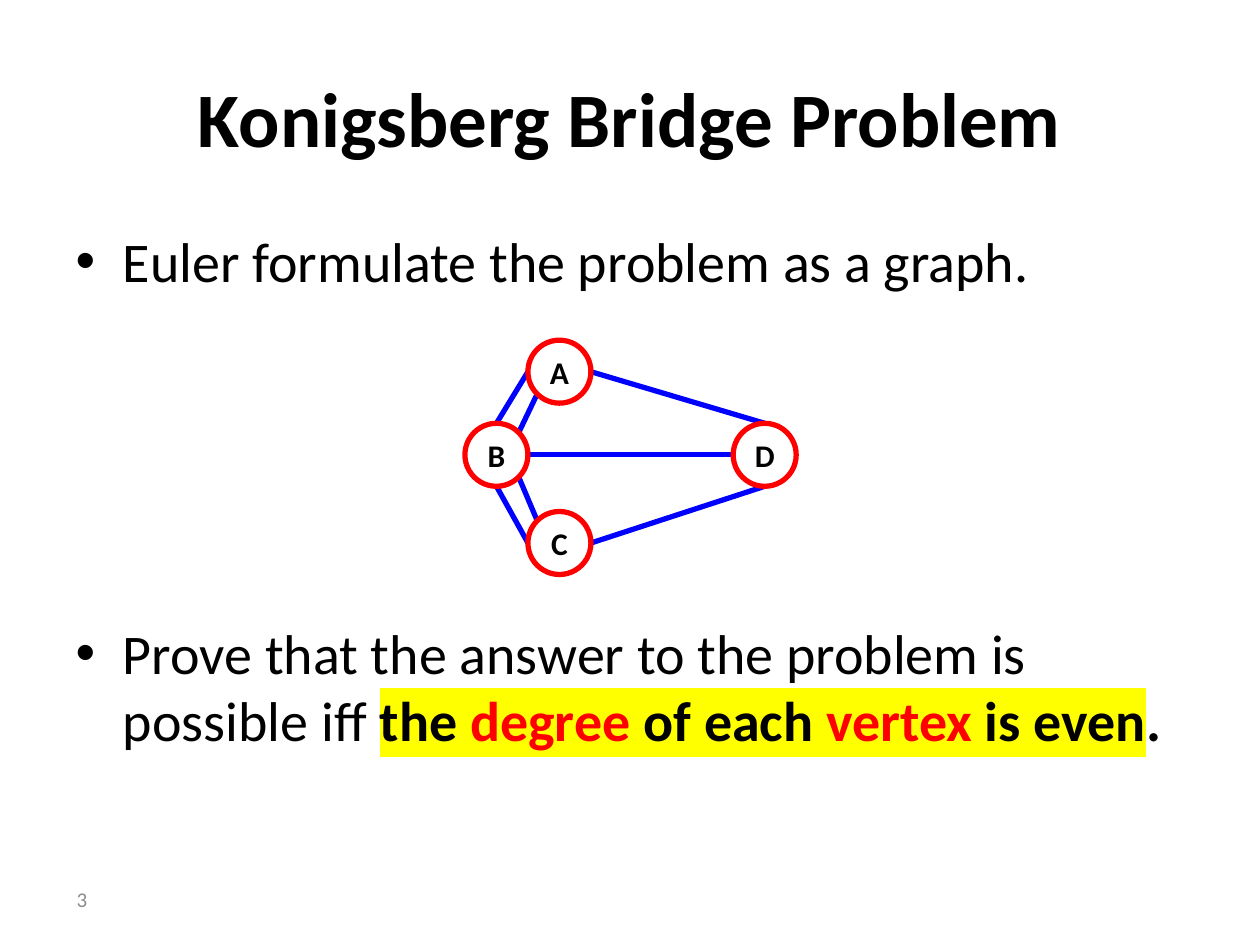
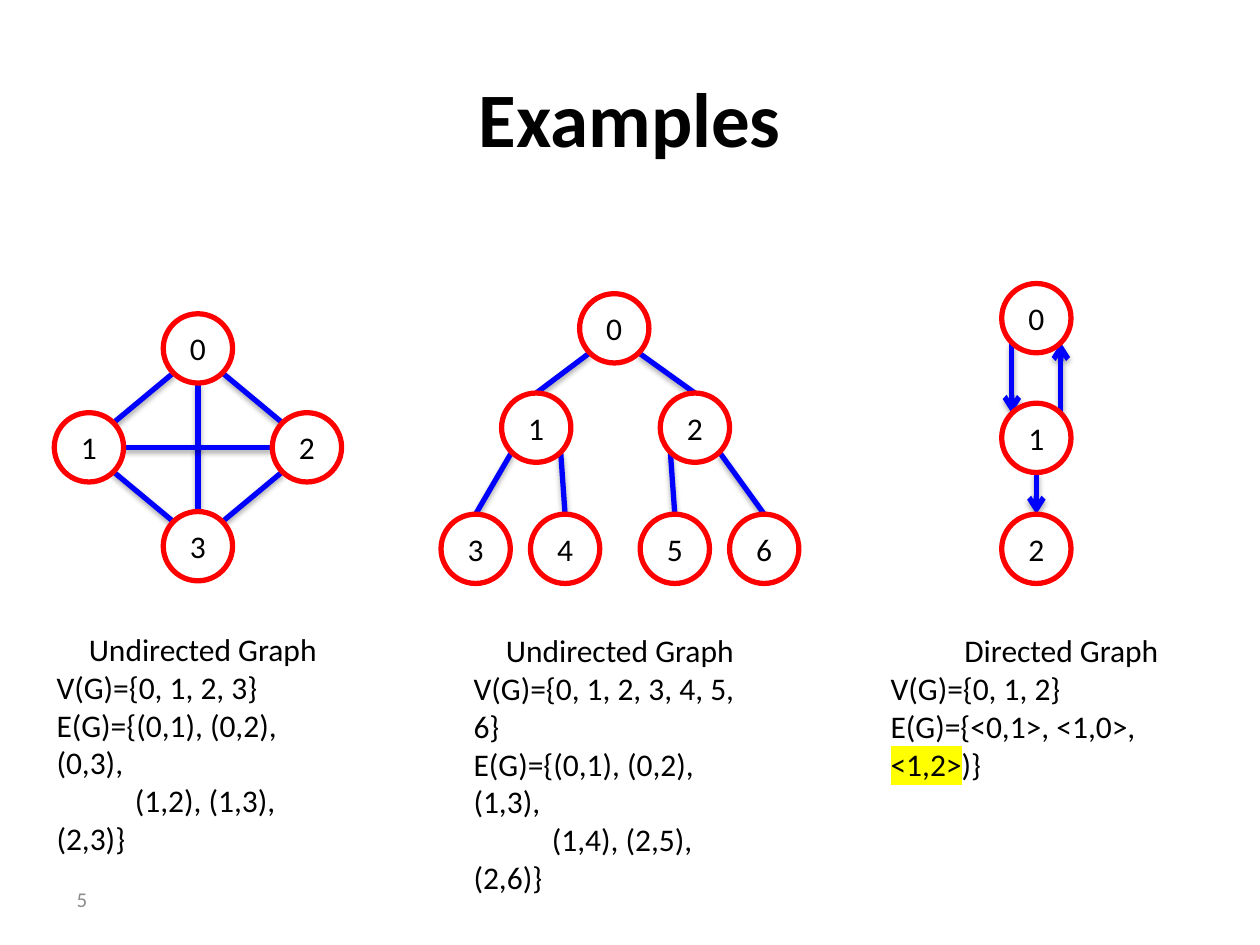
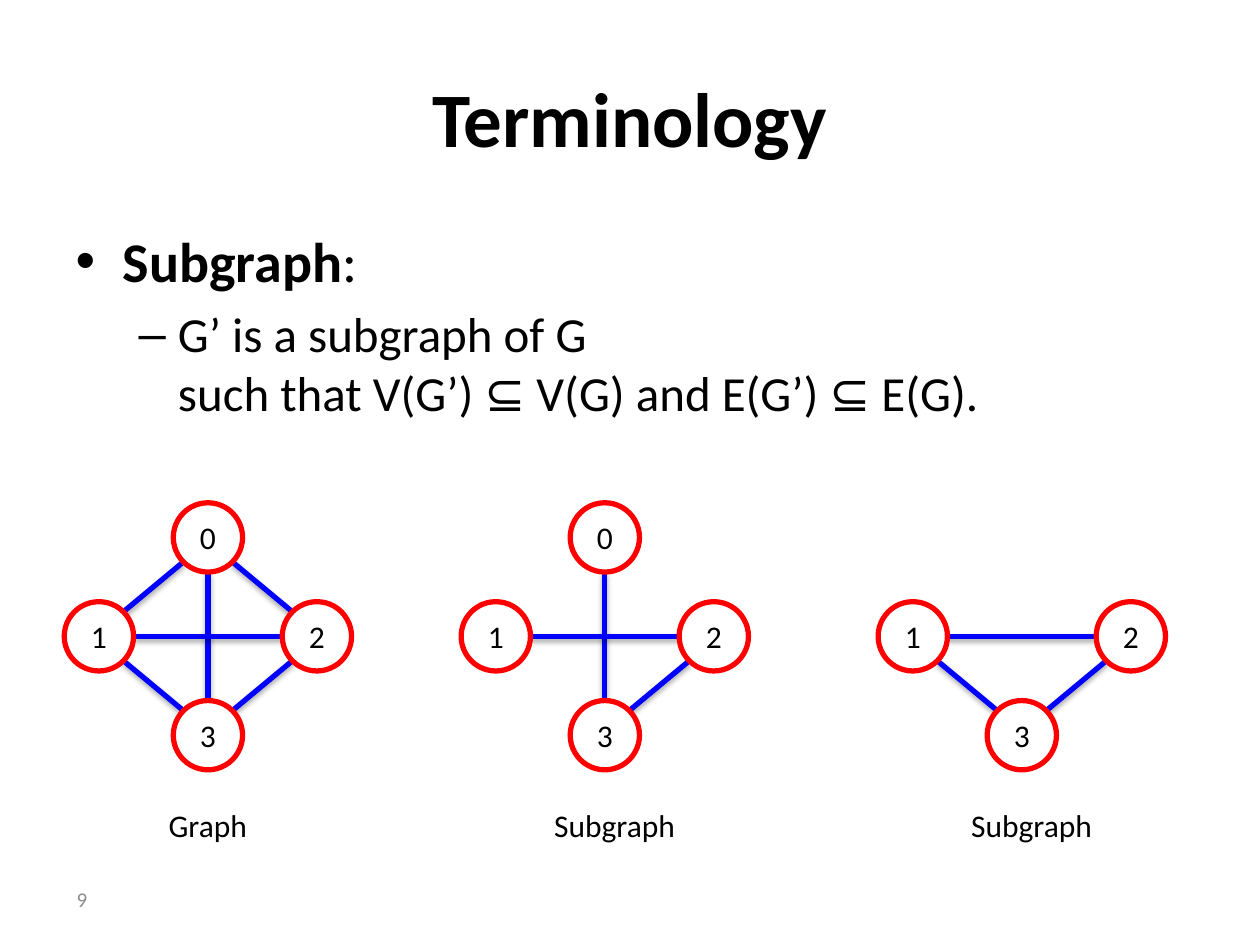
from math import sqrt

from lxml import etree
from pptx import Presentation
from pptx import util as u
from pptx.dml.color import RGBColor
from pptx.enum import shapes, text
from pptx.oxml.ns import qn

# ---- Shared look ----
FONT = "Calibri"
BLACK, WHITE, GREY = "000000", "FFFFFF", "8C8C8C"
RED, BLUE, YELLOW = "FF0000", "0000FF", "FFFF00"
LINE_WIDTH = 3
LABEL_SIZE = 18
RADIUS = 19.8
TITLE_AND_BODY, TITLE_ONLY = 1, 5
LEFT, CENTER, RIGHT = text.PP_ALIGN.LEFT, text.PP_ALIGN.CENTER, text.PP_ALIGN.RIGHT
PAGE_NUMBER_BOX = (0, 499.7, 56.9, 28.8)

# Compass points on a circle, in units of its radius
D = sqrt(0.5)
COMPASS = {"n": (0, -1), "ne": (D, -D), "e": (1, 0), "se": (D, D),
           "s": (0, 1), "sw": (-D, D), "w": (-1, 0), "nw": (-D, -D)}

# ---- Content: nodes are centres, edges are "node.side node.side" ----
BRIDGES = dict(
    nodes={"A": (319.7, 212.4), "B": (283.7, 259.9),
           "C": (319.7, 310.3), "D": (437, 259.9)},
    edges=["A.sw B.ne", "A.e D.n", "A.w B.n", "C.nw B.se",
           "C.w B.s", "C.e D.s", "B.e D.w"],
    radius=18, bold=True, shadow=False)

TREE = dict(
    nodes={"0": (351, 187.6), "1": (306.4, 244.4), "2": (397.1, 244.4),
           "3": (271.8, 313.6), "4": (322.9, 313.6),
           "5": (385.6, 313.6), "6": (436.7, 313.6)},
    edges=["0.sw 1.n", "1.sw 3.n", "0.se 2.n", "2.se 6.n", "1.se 4.n", "2.sw 5.n"])

DIRECTED = dict(
    nodes={"0": (592.2, 181.8), "1": (592.2, 250.2), "2": (592.2, 313.6)},
    edges=["0.sw 1.nw", "1.s 2.n", "1.ne 0.se"], directed=True)

DIAMOND_STEP = (62.3, 56.5)
DIAMOND_GRID = {"0": (1, 0), "1": (0, 1), "2": (2, 1), "3": (1, 2)}
DIAMOND_EDGES = ["0.sw 1.ne", "3.nw 1.se", "0.se 2.nw", "2.sw 3.ne", "0.s 3.n", "2.w 1.e"]


def diamond(left, top, names="0123", edges=DIAMOND_EDGES):
    dx, dy = DIAMOND_STEP
    return dict(nodes={name: (left + column * dx, top + row * dy)
                       for name, (column, row) in DIAMOND_GRID.items() if name in names},
                edges=edges)


MARKED = dict(bold=True, mark=YELLOW)
MARKED_RED = dict(MARKED, color=RED)

# Body items: level, space before (None keeps the template's), runs
# Captions: box, alignment, wrap, lines of (first-line indent, runs)
SLIDES = [
    dict(title="Konigsberg Bridge Problem", page="3",
         body=[(0, None, ["Euler formulate the problem as a graph."]),
               (0, 185.5, ["Prove that the answer to the problem is possible iff ",
                           ("the ", MARKED), ("degree", MARKED_RED),
                           (" of each ", MARKED), ("vertex", MARKED_RED),
                           (" is even", MARKED), (".", dict(bold=True))])],
         graphs=[BRIDGES], captions=[]),
    dict(title="Examples", page="5", body=[],
         graphs=[diamond(50.8, 199.1), TREE, DIRECTED],
         captions=[
             ((25.2, 356.4, 181.4, 94.3), CENTER, True,
              [(0, ["Undirected Graph"]), (0, ["V(G)={0, 1, 2, 3}"]),
               (0, ["E(G)={(0,1), (0,2), (0,3),"]), (44.8, ["(1,2), (1,3), (2,3)}"])]),
             ((263.5, 357.1, 181.4, 94.3), CENTER, True,
              [(0, ["Undirected Graph"]), (0, ["V(G)={0, 1, 2, 3, 4, 5, 6}"]),
               (0, ["E(G)={(0,1), (0,2), (1,3),"]), (44.8, ["(1,4), (2,5), (2,6)}"])]),
             ((501.8, 357.1, 209.5, 72.7), CENTER, True,
              [(0, ["Directed Graph"]), (0, ["V(G)={0, 1, 2}"]),
               (0, ["E(G)={<0,1>, <1,0>,"]),
               (0, [("<1,2>", dict(mark=YELLOW)), ")}"])])]),
    dict(title="Terminology", page="9",
         body=[(0, None, [("Subgraph", dict(bold=True)), ":"]),
               (1, None, ["G’ is a subgraph of G", "\n",
                          "such that V(G’) ⊆ V(G) and E(G’) ⊆ E(G)."])],
         graphs=[diamond(56.5, 307.1),
                 diamond(283.3, 307.1, edges=["2.sw 3.ne", "0.s 3.n", "2.w 1.e"]),
                 diamond(521.6, 307.1, "123", ["3.nw 1.se", "2.sw 3.ne", "2.w 1.e"])],
         captions=[((89.3, 457.2, 59.8, 29), LEFT, False, [(0, ["Graph"])]),
                   ((309.6, 457.2, 84.2, 29), LEFT, False, [(0, ["Subgraph"])]),
                   ((547.9, 457.2, 84.2, 29), LEFT, False, [(0, ["Subgraph"])])]),
]


# ---- Helpers ----
def rgb(value):
    return RGBColor.from_string(value)


def pts(*values):
    return [u.Pt(value) for value in values]


def style(paragraph, size, color=BLACK, bold=None):
    font = paragraph.font
    font.name, font.size, font.bold = FONT, u.Pt(size), bold
    font.color.rgb = rgb(color)


def add_runs(paragraph, runs):
    for item in runs:
        if item == "\n":
            paragraph.add_line_break()
            continue
        words, look = (item, {}) if isinstance(item, str) else item
        run = paragraph.add_run()
        run.text = words
        if "bold" in look:
            run.font.bold = look["bold"]
        if "color" in look:
            run.font.color.rgb = rgb(look["color"])
        if "mark" in look:
            highlight = etree.SubElement(run.font._element, qn("a:highlight"))
            etree.SubElement(highlight, qn("a:srgbClr"), val=look["mark"])


def paragraphs(frame, count):
    return [frame.paragraphs[0]] + [frame.add_paragraph() for _ in range(count - 1)]


def add_effects(connector, shadow):
    effects = etree.SubElement(connector._element.spPr, qn("a:effectLst"))
    if shadow:
        outer = etree.SubElement(effects, qn("a:outerShdw"), blurRad="40000", dist="23000",
                                 dir="5400000", rotWithShape="0")
        color = etree.SubElement(outer, qn("a:srgbClr"), val=BLACK)
        etree.SubElement(color, qn("a:alpha"), val="35000")


# ---- Parts of a slide ----
def draw_graph(slide, nodes, edges, radius=RADIUS, bold=False, shadow=True, directed=False):
    group = slide.shapes.add_group_shape().shapes

    def site(place):
        name, side = place.split(".")
        return [centre + radius * step for centre, step in zip(nodes[name], COMPASS[side])]

    for edge in edges:
        start, end = edge.split()
        connector = group.add_connector(shapes.MSO_CONNECTOR.STRAIGHT,
                                        *pts(*site(start), *site(end)))
        connector.line.color.rgb = rgb(BLUE)
        connector.line.width = u.Pt(LINE_WIDTH)
        if directed:
            etree.SubElement(connector.line._get_or_add_ln(), qn("a:tailEnd"), type="arrow")
        add_effects(connector, shadow)

    for name, (x, y) in nodes.items():
        node = group.add_shape(shapes.MSO_SHAPE.OVAL,
                               *pts(x - radius, y - radius, 2 * radius, 2 * radius))
        node.shadow.inherit = False
        node.fill.solid()
        node.fill.fore_color.rgb = rgb(WHITE)
        node.line.color.rgb = rgb(RED)
        node.line.width = u.Pt(LINE_WIDTH)
        frame = node.text_frame
        frame.margin_left = frame.margin_right = frame.margin_top = frame.margin_bottom = 0
        frame.vertical_anchor = text.MSO_ANCHOR.MIDDLE
        label = frame.paragraphs[0]
        label.text, label.alignment = name, CENTER
        style(label, LABEL_SIZE, bold=bold)


def draw_caption(slide, box, heading_align, wrap, lines):
    frame = slide.shapes.add_textbox(*pts(*box)).text_frame
    frame.word_wrap = wrap
    for number, (line, (indent, runs)) in enumerate(zip(paragraphs(frame, len(lines)), lines)):
        line.alignment = heading_align if number == 0 else LEFT
        style(line, LABEL_SIZE)
        add_runs(line, runs)
        if indent:
            line._p.get_or_add_pPr().set("indent", str(u.Pt(indent)))


def draw_page_number(slide, number):
    frame = slide.shapes.add_textbox(*pts(*PAGE_NUMBER_BOX)).text_frame
    frame.word_wrap = True
    frame.vertical_anchor = text.MSO_ANCHOR.MIDDLE
    page = frame.paragraphs[0]
    page.text, page.alignment = number, RIGHT
    style(page, 12, GREY)


def draw_body(slide, items):
    frame = slide.placeholders[1].text_frame
    for item, (level, space, runs) in zip(paragraphs(frame, len(items)), items):
        item.level = level
        if space is not None:
            item.space_before = u.Pt(space)
        style(item, 28 if level else 32)
        add_runs(item, runs)


def main():
    deck = Presentation()
    deck.slide_width, deck.slide_height = pts(720, 540)
    for content in SLIDES:
        layout = TITLE_AND_BODY if content["body"] else TITLE_ONLY
        slide = deck.slides.add_slide(deck.slide_layouts[layout])
        title = slide.shapes.title.text_frame
        title.text = content["title"]
        style(title.paragraphs[0], 44, bold=True)
        if content["body"]:
            draw_body(slide, content["body"])
        for graph in content["graphs"]:
            draw_graph(slide, **graph)
        for caption in content["captions"]:
            draw_caption(slide, *caption)
        draw_page_number(slide, content["page"])
    deck.save("out.pptx")


if __name__ == "__main__":
    main()
